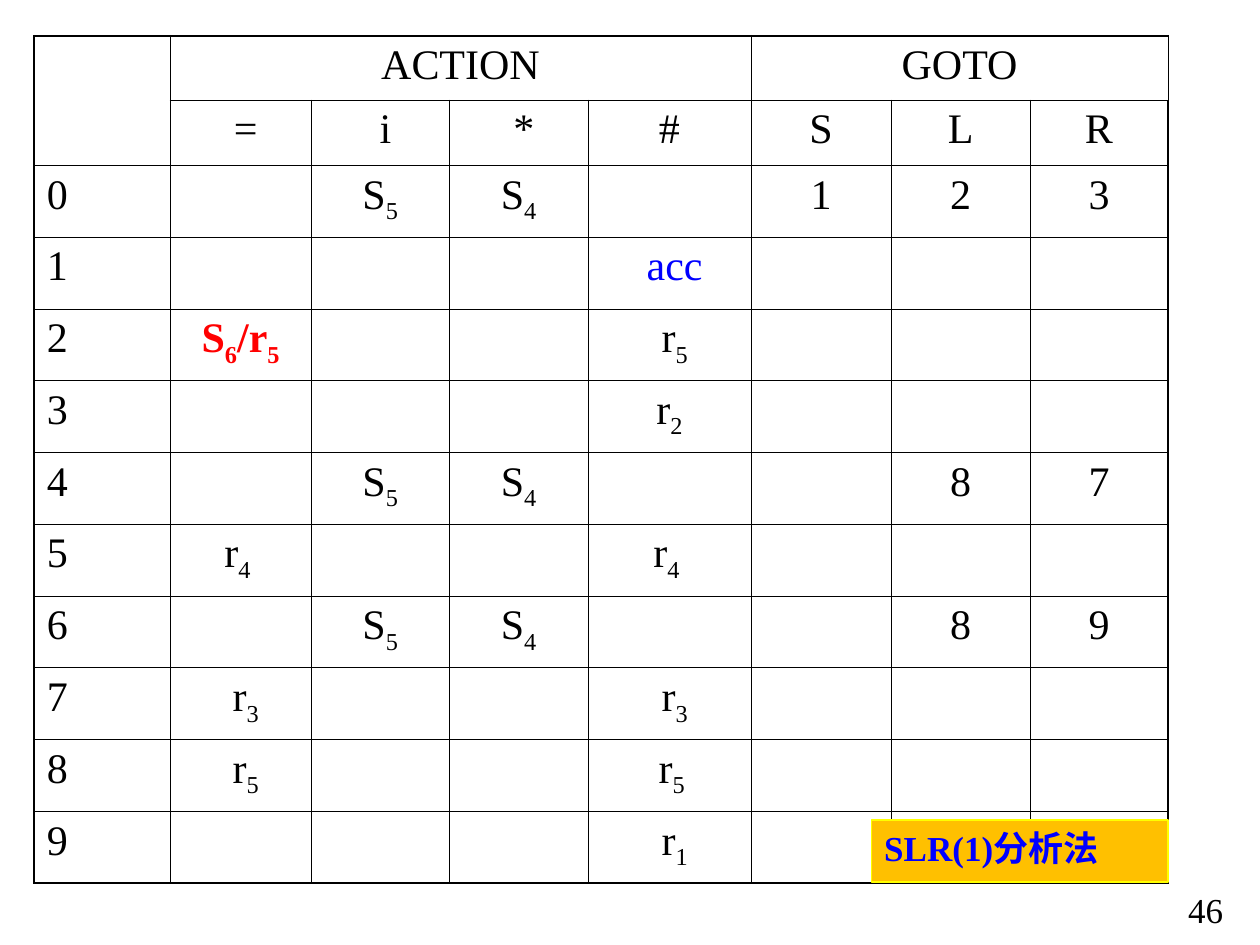
from lxml import etree
from pptx import Presentation
from pptx import util as u
from pptx.dml.color import RGBColor
from pptx.enum import shapes, text
from pptx.oxml.ns import qn

INK = {"black": "000000", "blue": "0000FF", "red": "FF0000",
       "gold": "FFC000", "yellow": "FFFF00"}
MID = text.PP_ALIGN.CENTER
LEFT = text.PP_ALIGN.LEFT

HEADS = [["", "ACTION", "", "", "", "GOTO", "", ""],
         ["", " =", " i", " *", "#", "S", "L", "R"]]
STATES = [
    ["", "S_5", "S_4", "", "1", "2", "3"],
    ["", "", "", " acc", "", "", ""],
    ["S_6_/r_5", "", "", " r_5", "", "", ""],
    ["", "", "", "r_2", "", "", ""],
    ["", "S_5", "S_4", "", "", "8", "7"],
    ["r_4 ", "", "", "r_4 ", "", "", ""],
    ["", "S_5", "S_4", "", "", "8", "9"],
    [" r_3", "", "", " r_3", "", "", ""],
    [" r_5", "", "", " r_5 ", "", "", ""],
    ["", "", "", " r_1", "", "", ""],
]
ROWS = HEADS + [[str(n)] + row for n, row in enumerate(STATES)]
MARKS = {" acc": {"ink": "blue"}, "S_6_/r_5": {"ink": "red", "bold": True}}
SPANS = [(0, 0, 1, 0), (0, 1, 0, 4), (0, 5, 0, 7)]
WIDTHS = [77.6, 80.6, 79, 79.2, 93.2, 80.2, 79.2, 79]
HEIGHTS = [36.7, 37.4] + [41.04] * len(STATES)


def color(name):
    return RGBColor.from_string(INK[name])


def write(frame, words, size=24, ink="black", bold=False, align=LEFT,
          face="Times New Roman"):
    para = frame.paragraphs[0]
    para.alignment = align
    for i, part in enumerate(words.split("_")):
        run = para.add_run()
        run.text = part
        font = run.font
        font.name, font.size, font.bold = face, u.Pt(size), bold
        font.color.rgb = color(ink)
        if i % 2:
            run._r.get_or_add_rPr().set("baseline", "-25000")


class Deck:
    thin, thick = 0.45, 1.08

    def __init__(self):
        self.show = Presentation()
        self.show.slide_width = u.Pt(720)
        self.show.slide_height = u.Pt(540)
        self.slide = self.show.slides.add_slide(self.show.slide_layouts[6])

    def edge(self, cell, side, width):
        props = cell._tc.get_or_add_tcPr()
        line = etree.SubElement(props, qn("a:ln" + side), w=str(u.Pt(width)))
        fill = etree.SubElement(line, qn("a:solidFill"))
        etree.SubElement(fill, qn("a:srgbClr"), val=INK["black"])

    def table(self, x, y, rows, widths, heights, spans, marks):
        frame = self.slide.shapes.add_table(
            len(rows), len(widths), u.Pt(x), u.Pt(y),
            u.Pt(sum(widths)), u.Pt(sum(heights)))
        grid = frame.table
        grid.first_row = grid.horz_banding = False
        for col, width in zip(grid.columns, widths):
            col.width = u.Pt(width)
        for row, height in zip(grid.rows, heights):
            row.height = u.Pt(height)
        for top, left, low, right in spans:
            grid.cell(top, left).merge(grid.cell(low, right))
        for r, row in enumerate(rows):
            for c, words in enumerate(row):
                cell = grid.cell(r, c)
                outer = {"L": c == 0, "R": c == len(widths) - 1,
                         "T": r == 0, "B": r == len(rows) - 1}
                for side, rim in outer.items():
                    self.edge(cell, side, self.thick if rim else self.thin)
                cell.fill.background()
                if words:
                    write(cell.text_frame, words, align=MID if c else LEFT,
                          **marks.get(words, {}))

    def label(self, x, y, w, h, words, **form):
        box = self.slide.shapes.add_textbox(u.Pt(x), u.Pt(y), u.Pt(w), u.Pt(h))
        box.text_frame.word_wrap = True
        write(box.text_frame, words, **form)

    def badge(self, x, y, w, h, words, fill, line, **form):
        box = self.slide.shapes.add_shape(
            shapes.MSO_SHAPE.RECTANGLE, u.Pt(x), u.Pt(y), u.Pt(w), u.Pt(h))
        box.shadow.inherit = False
        box.fill.solid()
        box.fill.fore_color.rgb = color(fill)
        box.line.color.rgb = color(line)
        box.line.width = u.Pt(0.75)
        frame = box.text_frame
        frame.word_wrap = True
        frame.vertical_anchor = text.MSO_ANCHOR.TOP
        write(frame, words, **form)


def main():
    deck = Deck()
    deck.label(671.8, 504, 48.2, 31.5, "46", size=20)
    deck.table(19.6, 20.4, ROWS, WIDTHS, HEIGHTS, SPANS, MARKS)
    deck.badge(498.2, 468.6, 169.2, 35.4, "SLR(1)分析法", "gold", "yellow",
               size=20, ink="blue", bold=True)
    deck.show.save("out.pptx")


if __name__ == "__main__":
    main()
